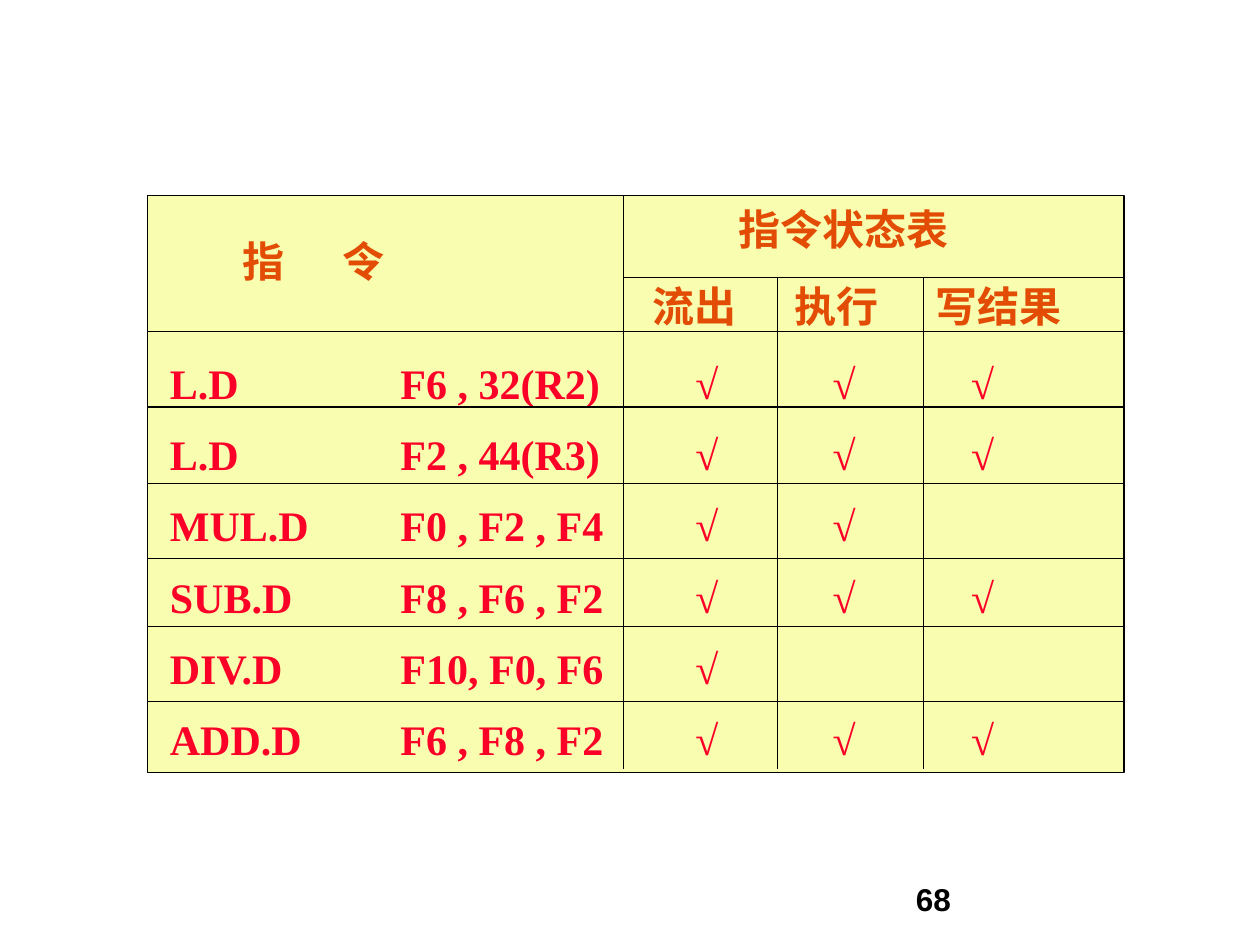
from dataclasses import dataclass
from typing import Sequence

from lxml.etree import SubElement
from pptx import Presentation
from pptx.dml.color import RGBColor
from pptx.enum.shapes import MSO_CONNECTOR as Connector, MSO_SHAPE as Shape
from pptx.oxml.ns import qn
from pptx.util import Inches, Pt

COLORS = {"table": "F9FDAF", "border": "000000", "header": "E24C05",
          "code": "FC0128", "number": "000000"}
HEADER_FONT, CODE_FONT = "Noto Sans CJK SC", "Times New Roman"

# Edges of the table and its inner rules, in inches
LEFT, TOP, RIGHT, BOTTOM = 1.17, 1.55, 8.92, 6.13
MIDDLE = 3.83
ROW_RULES = [2.63, 3.23, MIDDLE, 4.43, 4.97, 5.57]
INSTRUCTION_EDGE, STAGE_TOP = 4.95, 2.2
STAGE_EDGES = [6.17, 7.33]
RULE_END = 6.1

# Tab stops, measured from the left of the text
TITLE_TABS = [0.79]
STAGE_TABS = [1.13, 2.25]
CODE_TABS = [1.83, 4.17, 5.26, 6.36]


@dataclass
class Instruction:
    opcode: str
    operands: str
    stages_done: int

    def line(self) -> str:
        return "\t".join([self.opcode, self.operands] + ["√"] * self.stages_done)


@dataclass
class Style:
    font: str
    color: str
    size: float = 24
    line_height: float = 28
    space_before: float = 0
    inset_top: float = 0.05


@dataclass
class Line:
    text: str
    tabs: Sequence[float] = ()
    indent: float = 0


HEADER = Style(HEADER_FONT, "header", space_before=16, inset_top=0.08)
CODE = Style(CODE_FONT, "code", line_height=34.6, space_before=6)
NUMBER = Style("Arial", "number", size=18, line_height=20.7)

INSTRUCTIONS = [
    Instruction("L.D", "F6 , 32(R2)", 3),
    Instruction("L.D", "F2 , 44(R3)", 3),
    Instruction("MUL.D", "F0 , F2 , F4", 2),
    Instruction("SUB.D", "F8 , F6 , F2", 3),
    Instruction("DIV.D", "F10, F0, F6", 1),
    Instruction("ADD.D", "F6 , F8 , F2", 3),
]


def add_text(slide, left: float, top: float, width: float, height: float,
             lines: Sequence[Line], style: Style) -> None:
    """Add a text box with one tabbed paragraph for each line."""
    frame = slide.shapes.add_textbox(Inches(left), Inches(top), Inches(width),
                                     Inches(height)).text_frame
    frame.word_wrap = True
    frame.margin_top = Inches(style.inset_top)
    for index, line in enumerate(lines):
        paragraph = frame.add_paragraph() if index else frame.paragraphs[0]
        paragraph.text = line.text
        paragraph.line_spacing = Pt(style.line_height)
        if index:
            paragraph.space_before = Pt(style.space_before)
        properties = paragraph._p.get_or_add_pPr()
        if line.indent:
            properties.set("marL", str(Inches(line.indent)))
        if line.tabs:
            tab_list = SubElement(properties, qn("a:tabLst"))
            for position in line.tabs:
                SubElement(tab_list, qn("a:tab"),
                           pos=str(Inches(position)), algn="l")
        for run in paragraph.runs:
            run.font.name = style.font
            run.font.size = Pt(style.size)
            run.font.bold = True
            run.font.color.rgb = RGBColor.from_string(COLORS[style.color])
            SubElement(run._r.get_or_add_rPr(), qn("a:ea"), typeface=style.font)


def set_border(line) -> None:
    line.color.rgb = RGBColor.from_string(COLORS["border"])
    line.width = Pt(0.75)


def add_background(slide):
    shape = slide.shapes.add_shape(
        Shape.RECTANGLE, Inches(LEFT), Inches(TOP),
        Inches(RIGHT - LEFT), Inches(BOTTOM - TOP))
    shape.shadow.inherit = False
    shape.fill.solid()
    shape.fill.fore_color.rgb = RGBColor.from_string(COLORS["table"])
    set_border(shape.line)
    return shape


def add_rule(slide, x1: float, y1: float, x2: float, y2: float):
    rule = slide.shapes.add_connector(
        Connector.STRAIGHT, Inches(x1), Inches(y1), Inches(x2), Inches(y2))
    set_border(rule.line)
    SubElement(rule._element.spPr, qn("a:effectLst"))
    return rule


def add_rules(slide, background) -> None:
    for y in ROW_RULES:
        rule = add_rule(slide, LEFT, y, RIGHT, y)
        if y == MIDDLE:
            rule.begin_connect(background, 1)
            rule.end_connect(background, 3)
    add_rule(slide, INSTRUCTION_EDGE, TOP, INSTRUCTION_EDGE, RULE_END)
    add_rule(slide, INSTRUCTION_EDGE, STAGE_TOP, RIGHT, STAGE_TOP)
    for x in STAGE_EDGES:
        add_rule(slide, x, STAGE_TOP, x, RULE_END)


def main() -> None:
    presentation = Presentation()
    presentation.slide_width, presentation.slide_height = Inches(10), Inches(7.5)
    slide = presentation.slides.add_slide(presentation.slide_layouts[6])

    # Page number
    add_text(slide, 7.17, 6.95, 2.33, 0.4, [Line("68")], NUMBER)

    # Table background
    background = add_background(slide)

    # Headers
    add_text(slide, 1.83, 1.8, 2.5, 0.5, [Line("指\t令", TITLE_TABS)], HEADER)
    add_text(slide, 5.08, 1.55, 4.17, 1.11,
             [Line("指令状态表", indent=0.68),
              Line("流出\t执行\t写结果", STAGE_TABS)], HEADER)

    # Instructions and their finished stages
    add_text(slide, 1.25, 2.71, 8.08, 3.4,
             [Line(instruction.line(), CODE_TABS) for instruction in INSTRUCTIONS],
             CODE)

    # Rules between rows and columns
    add_rules(slide, background)
    presentation.save("out.pptx")


if __name__ == "__main__":
    main()
